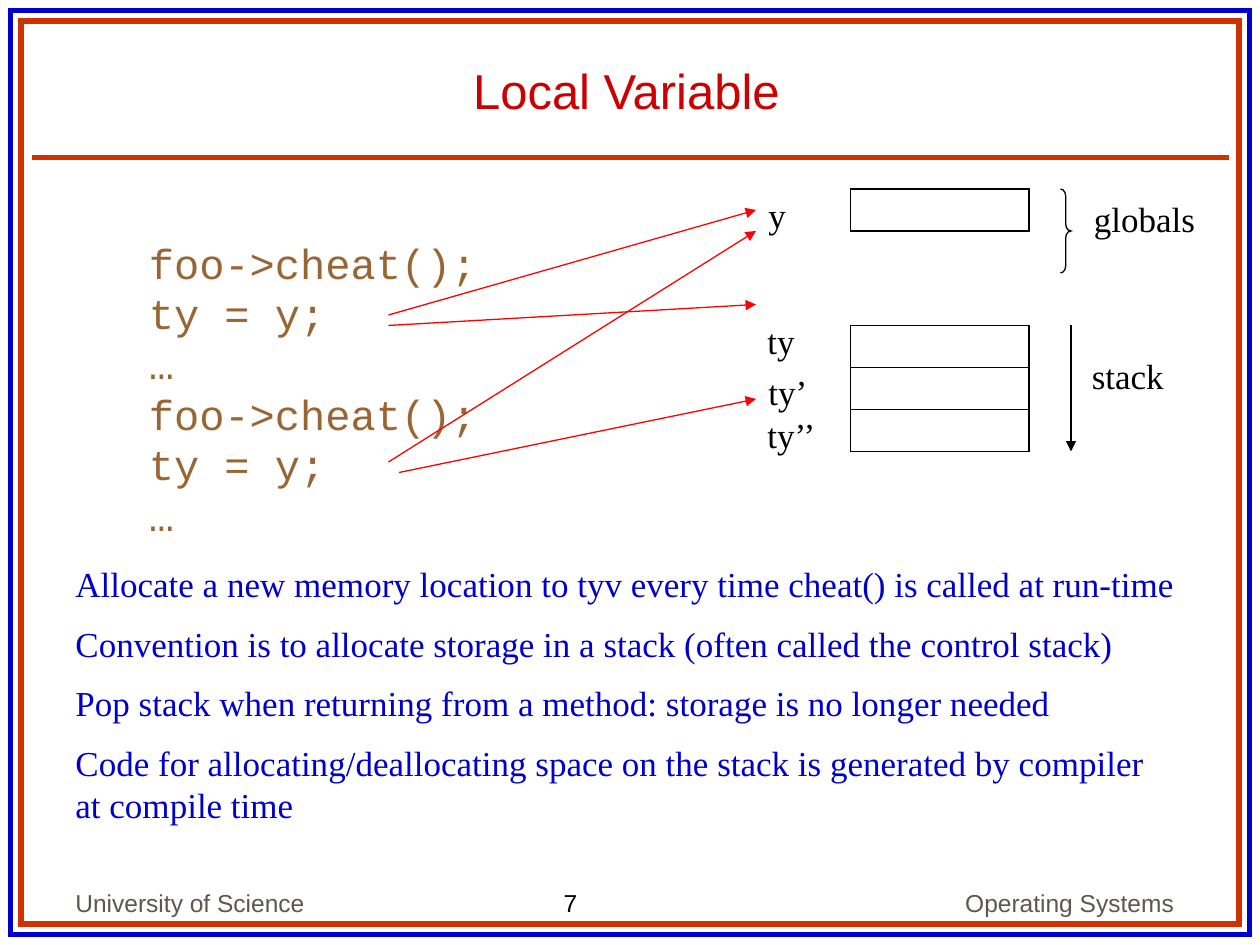
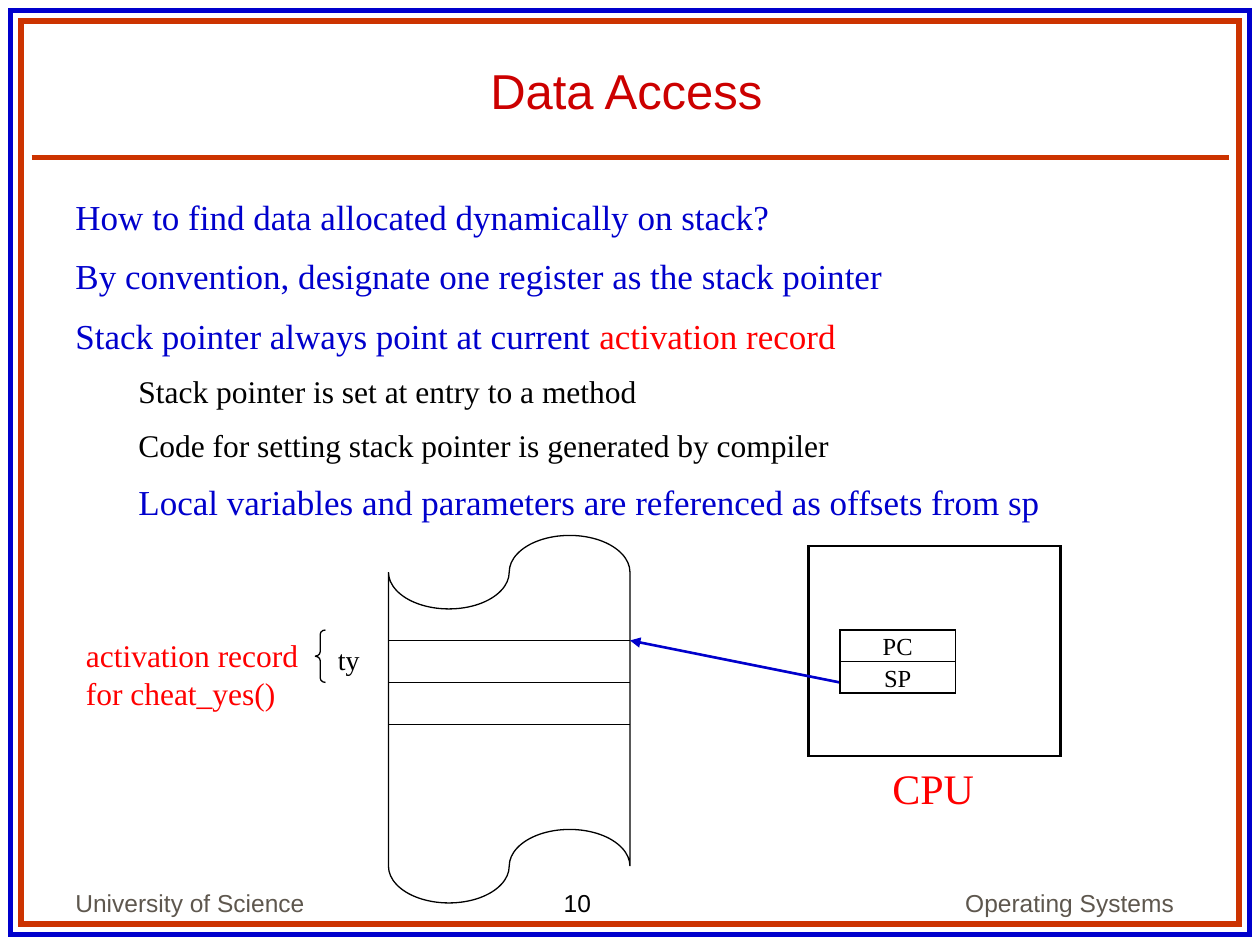
from lxml.etree import SubElement
from pptx import Presentation
from pptx.dml.color import RGBColor
from pptx.enum.shapes import MSO_CONNECTOR as Connector, MSO_SHAPE as Preset
from pptx.enum.text import MSO_ANCHOR as Anchor, MSO_AUTO_SIZE as AutoSize, PP_ALIGN as Align
from pptx.oxml.ns import qn
from pptx.util import Emu, Pt

PX = 7620  # 120 px to the inch
hex_color = RGBColor.from_string

BLUE, RUST, TITLE_RED = "0000CC", "CC3300", "CC0000"
RED, BLACK, GREY, BROWN = "FF0000", "000000", "5E574E", "996633"
SANS, SERIF, MONO = "Arial", "Times New Roman", "Courier New"


def write(frame, runs, size, font=SERIF, align=Align.LEFT, space=0, indent=0):
    """Append a paragraph of (text, colour) runs, reusing the empty first one."""
    first = not frame.text
    paragraph = frame.paragraphs[0] if first else frame.add_paragraph()
    if indent:
        properties = paragraph._p.get_or_add_pPr()
        properties.set("marL", str(indent * PX))
        properties.set("indent", "0")
    paragraph.alignment = align
    paragraph.space_before = Pt(0 if first else space)
    for text, color in runs:
        run = paragraph.add_run()
        run.text = text
        values = {"name": font, "size": Pt(size), "bold": False}
        for name, value in values.items():
            setattr(run.font, name, value)
        run.font.color.rgb = hex_color(color)


def draw(slide, kind, box, color=BLACK, width=0.75, arrow=False):
    """Draw an unfilled preset shape, or a line when kind is None."""
    lengths = [Emu(value * PX) for value in box]
    if kind is None:
        shape = slide.shapes.add_connector(Connector.STRAIGHT, *lengths)
        SubElement(shape._element.spPr, qn("a:effectLst"))
    else:
        shape = slide.shapes.add_shape(kind, *lengths)
        shape.shadow.inherit = False
        shape.fill.background()
    shape.line.color.rgb = hex_color(color)
    shape.line.width = Pt(width)
    outline = shape.line._get_or_add_ln()
    SubElement(outline, qn("a:miter"), lim="800000")
    if arrow:
        SubElement(outline, qn("a:tailEnd"), type="triangle")
    return shape


RED_ARROW = {"color": RED, "arrow": True}
# Body paragraphs: runs, size, indent.
# Drawings: kind, box, format. Labels: lines, box, size, colour.
pages = [
    {
        "title": "Local Variable",
        "number": "7",
        "body_box": (60, 530, 1072, 300),
        "body": [
            ([(text, BLUE)], 20, 0)
            for text in (
                "Allocate a new memory location to tyv every time cheat() is called at run-time",
                "Convention is to allocate storage in a stack (often called the control stack)",
                "Pop stack when returning from a method: storage is no longer needed",
                "Code for allocating/deallocating space on the stack is generated by compiler "
                "at compile time",
            )
        ],
        "drawings": [
            *[(Preset.RECTANGLE, (810, top, 170, 40), {}) for top in (180, 310, 350, 390)],
            (None, (370, 300, 720, 200), RED_ARROW),
            (None, (370, 310, 720, 290), RED_ARROW),
            (None, (370, 440, 720, 220), RED_ARROW),
            (None, (380, 450, 720, 380), RED_ARROW),
            (None, (1020, 310, 1020, 430), {"arrow": True}),
            (Preset.RIGHT_BRACE, (1010, 180, 10, 80), {}),
        ],
        "labels": [
            (["y"], (720, 178, 50, 53), 20, BLACK),
            (["ty"], (719, 298, 60, 53), 20, BLACK),
            (["ty’"], (720, 347, 72, 53), 20, BLACK),
            (["ty’’"], (719, 388, 84, 53), 20, BLACK),
            (["globals"], (1030, 182, 132, 53), 20, BLACK),
            (["stack"], (1028, 332, 104, 53), 20, BLACK),
        ],
        "code": ["foo->cheat();", "ty = y;", "…"] * 2,
        "registers": [],
    },
    {
        "title": "Data Access",
        "number": "10",
        "body_box": (60, 180, 1072, 340),
        "body": [
            ([("How to find data allocated dynamically on stack?", BLUE)], 20, 0),
            ([("By convention, designate one register as the stack pointer", BLUE)], 20, 0),
            ([("Stack pointer always point at current ", BLUE), ("activation record", RED)], 20, 0),
            ([("Stack pointer is set at entry to a method", BLACK)], 18, 60),
            ([("Code for setting stack pointer is generated by compiler", BLACK)], 18, 60),
            ([("Local variables and parameters are referenced as offsets from sp", BLUE)], 20, 60),
        ],
        "drawings": [
            (Preset.RECTANGLE, (770, 520, 240, 200), {"width": 1.5}),
            (Preset.FLOWCHART_PUNCHED_TAPE, (370, 510, 230, 350), {}),
            *[(None, (370, y, 600, y), {}) for y in (610, 650, 690)],
            (None, (800, 650, 600, 610), {"color": BLUE, "width": 1.5, "arrow": True}),
            (Preset.LEFT_BRACE, (300, 600, 10, 50), {}),
        ],
        "labels": [
            (["CPU"], (838, 720, 116, 60), 24, RED),
            (["ty"], (310, 606, 56, 44), 16, BLACK),
            (["activation record", "for cheat_yes()"], (70, 600, 240, 84), 18, RED),
        ],
        "code": [],
        "registers": ["PC", "SP"],
    },
]

presentation = Presentation()
presentation.slide_width = Emu(1200 * PX)
presentation.slide_height = Emu(900 * PX)
title_only = presentation.slide_layouts[5]

for page in pages:
    slide = presentation.slides.add_slide(title_only)

    # Double frame, title and rule
    draw(slide, Preset.RECTANGLE, (10, 10, 1180, 880), BLUE, 3)
    draw(slide, Preset.RECTANGLE, (20, 20, 1160, 860), RUST, 3)
    draw(slide, None, (30, 150, 1170, 150), RUST, 3)
    title = slide.shapes.title
    for name, value in zip(("left", "top", "width", "height"), (53, 30, 1087, 90)):
        setattr(title, name, Emu(value * PX))
    title.text_frame.vertical_anchor = Anchor.BOTTOM
    title.text_frame.auto_size = AutoSize.NONE
    write(title.text_frame, [(page["title"], TITLE_RED)], 28, SANS, Align.CENTER)

    # Footers
    for text, box, color, align, anchor in (
        ("University of Science", (60, 820, 250, 60), GREY, Align.LEFT, Anchor.BOTTOM),
        (page["number"], (525, 840, 131, 41), BLACK, Align.LEFT, Anchor.TOP),
        ("Operating Systems", (800, 820, 330, 60), GREY, Align.RIGHT, Anchor.BOTTOM),
    ):
        frame = slide.shapes.add_textbox(*[Emu(value * PX) for value in box]).text_frame
        frame.word_wrap = True
        frame.vertical_anchor = anchor
        write(frame, [(text, color)], 14, SANS, align)

    # Body text: space before is half the type size
    box = [Emu(value * PX) for value in page["body_box"]]
    frame = slide.shapes.add_textbox(*box).text_frame
    frame.word_wrap = True
    for runs, size, indent in page["body"]:
        write(frame, runs, size, space=size / 2, indent=indent)

    if page["code"]:
        box = [Emu(value * PX) for value in (130, 220, 350, 300)]
        frame = slide.shapes.add_textbox(*box).text_frame
        frame.word_wrap = True
        for line in page["code"]:
            write(frame, [(line, BROWN)], 24, MONO)

    # Memory diagram
    for kind, box, values in page["drawings"]:
        shape = draw(slide, kind, box, **values)
        if kind in (Preset.LEFT_BRACE, Preset.RIGHT_BRACE):
            shape.adjustments[0] = round(box[3] / box[2] / 12, 2)

    for index, name in enumerate(page["registers"]):
        register = draw(slide, Preset.RECTANGLE, (800, 600 + 30 * index, 110, 30))
        register.text_frame.word_wrap = False
        register.text_frame.vertical_anchor = Anchor.MIDDLE
        write(register.text_frame, [(name, BLACK)], 14, align=Align.CENTER)

    for lines, box, size, color in page["labels"]:
        frame = slide.shapes.add_textbox(*[Emu(value * PX) for value in box]).text_frame
        frame.word_wrap = True
        for line in lines:
            write(frame, [(line, color)], size)

presentation.save("out.pptx")
